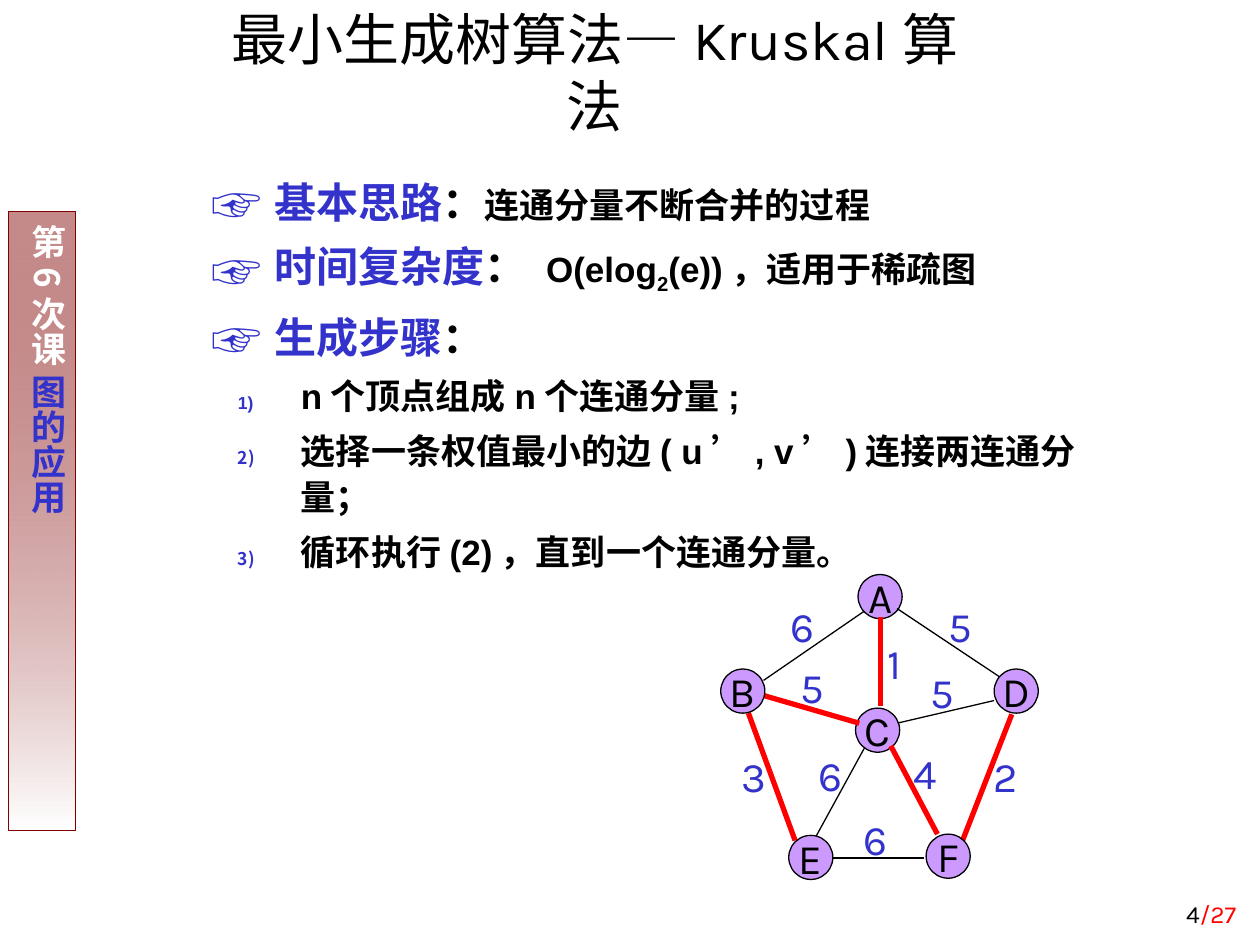
import dataclasses
import typing

import lxml.etree
import pptx
import pptx.dml.color
import pptx.enum.shapes
import pptx.enum.text
import pptx.oxml.ns
import pptx.util

Inches = pptx.util.Inches
Pt = pptx.util.Pt
RGBColor = pptx.dml.color.RGBColor
Align = pptx.enum.text.PP_ALIGN
Anchor = pptx.enum.text.MSO_ANCHOR
Shapes = pptx.enum.shapes.MSO_SHAPE
qn = pptx.oxml.ns.qn

BLACK = RGBColor(0, 0, 0)
WHITE = RGBColor(255, 255, 255)
RED = RGBColor(255, 0, 0)
BLUE = RGBColor(0x33, 0x33, 0xCC)
MAROON = RGBColor(0x80, 0, 0)
VIOLET = RGBColor(0xCC, 0x99, 0xFF)
CHINESE = "Noto Sans CJK SC"
NODE_SIZE = 0.35


@dataclasses.dataclass
class Run:
    text: str
    size: float
    color: RGBColor = BLACK
    font: str = "Karla"
    bold: bool = False
    subscript: bool = False


@dataclasses.dataclass
class Item:
    runs: list[Run]
    numbered: bool = False
    space_before: float = 5


@dataclasses.dataclass
class Node:
    name: str
    left: float
    top: float


@dataclasses.dataclass
class Edge:
    start: tuple[float, float]
    end: tuple[float, float]
    weight: str
    weight_at: tuple[float, float]
    in_tree: bool = False


def body_run(text: str, size: float = 20, color: RGBColor = BLACK,
             font: str = "Arial", subscript: bool = False) -> Run:
    return Run(text, size, color, font, True, subscript)


ITEMS = [
    Item([body_run("基本思路", 24, BLUE), body_run("：", 24),
          body_run("连通分量不断合并的过程")], space_before=0),
    Item([body_run("时间复杂度", 24, BLUE), body_run("： ", 24), body_run("O(elog"),
          body_run("2", subscript=True), body_run("(e))，适用于稀疏图")]),
    Item([body_run("生成步骤", 24, BLUE), body_run("：", 24)], space_before=6),
    Item([body_run("n个顶点组成n个连通分量;")], True),
    Item([body_run("选择一条权值最小的边( u"), body_run("’", font=CHINESE),
          body_run(", v"), body_run("’", font=CHINESE),
          body_run(")连接两连通分量；")], True),
    Item([body_run("循环执行(2)，直到一个连通分量。")], True),
]
NODE_A = Node("A", 6.81, 4.56)
NODE_C = Node("C", 6.79, 5.62)
OUTER_NODES = [Node("F", 7.35, 6.62), Node("D", 7.89, 5.31),
               Node("E", 6.26, 6.63), Node("B", 5.72, 5.31)]
EDGES = [
    Edge((6.86, 4.85), (6.06, 5.4), "6", (6.18, 4.77)),
    Edge((5.94, 5.66), (6.31, 6.67), "3", (5.79, 5.96), True),
    Edge((6.6, 6.81), (7.33, 6.81), "6", (6.76, 6.46)),
    Edge((7.64, 6.67), (8.03, 5.67), "2", (7.79, 5.96), True),
    Edge((7.93, 5.37), (7.12, 4.83), "5", (7.43, 4.77)),
    Edge((6.99, 4.9), (6.99, 5.6), "1", (6.91, 5.06), True),
    Edge((6.06, 5.52), (6.82, 5.74), "5", (6.26, 5.25), True),
    Edge((6.47, 6.65), (6.87, 5.92), "6", (6.4, 5.95)),
    Edge((7.44, 6.62), (7.07, 5.92), "4", (7.15, 5.93), True),
    Edge((7.12, 5.74), (7.89, 5.56), "5", (7.29, 5.29)),
]


def add_runs(paragraph: typing.Any, runs: list[Run]) -> None:
    for item in runs:
        run = paragraph.add_run()
        run.text = item.text
        run.font.size = Pt(item.size)
        run.font.bold = item.bold
        run.font.name = item.font
        run.font.color.rgb = item.color
        properties = run.font._element
        lxml.etree.SubElement(properties, qn("a:ea"), typeface=CHINESE)
        if item.subscript:
            properties.set("baseline", "-25000")


def set_margins(frame: typing.Any, horizontal: float, vertical: float) -> None:
    frame.margin_left = frame.margin_right = Inches(horizontal)
    frame.margin_top = frame.margin_bottom = Inches(vertical)


def add_text(slide: typing.Any, left: float, top: float, width: float, height: float,
             runs: list[Run], alignment: Align, anchor: Anchor = Anchor.BOTTOM,
             margins: tuple[float, float] = (0.1, 0.05)) -> None:
    box = slide.shapes.add_textbox(Inches(left), Inches(top), Inches(width), Inches(height))
    frame = box.text_frame
    frame.word_wrap = True
    frame.vertical_anchor = anchor
    set_margins(frame, *margins)
    frame.paragraphs[0].alignment = alignment
    add_runs(frame.paragraphs[0], runs)


def add_sidebar(slide: typing.Any) -> None:
    shape = slide.shapes.add_shape(Shapes.RECTANGLE, Inches(0.07), Inches(1.68),
                                   Inches(0.53), Inches(4.91))
    shape.shadow.inherit = False
    shape.fill.gradient()
    shape.fill.gradient_angle = 270
    for stop, position, color in zip(shape.fill.gradient_stops, (0, 1), (MAROON, WHITE)):
        stop.position = position
        stop.color.rgb = color
    first_color = next(shape._element.spPr.iter(qn("a:srgbClr")))
    lxml.etree.SubElement(first_color, qn("a:alpha"), val="46000")
    shape.line.color.rgb = MAROON
    shape.line.width = Pt(0.75)
    frame = shape.text_frame
    set_margins(frame, 0.05, 0.1)
    frame.vertical_anchor = Anchor.TOP
    frame._txBody.bodyPr.set("vert", "eaVert")
    frame.paragraphs[0].alignment = Align.CENTER
    add_runs(frame.paragraphs[0], [Run("第6次课 ", 20, WHITE, CHINESE, True),
                                   Run("图的应用", 20, BLUE, CHINESE, True)])


def add_bullet(paragraph: typing.Any, numbered: bool) -> None:
    properties = paragraph._p.get_or_add_pPr()
    properties.set("marL", str(Inches(0.92 if numbered else 0.71)))
    properties.set("indent", str(Inches(-0.5)))
    color = lxml.etree.SubElement(properties, qn("a:buClr"))
    lxml.etree.SubElement(color, qn("a:srgbClr"), val=str(BLUE))
    lxml.etree.SubElement(properties, qn("a:buSzPct"), val="50000" if numbered else "120000")
    lxml.etree.SubElement(properties, qn("a:buFont"), typeface=CHINESE)
    if numbered:
        lxml.etree.SubElement(properties, qn("a:buAutoNum"), type="arabicParenR")
    else:
        lxml.etree.SubElement(properties, qn("a:buChar"), char="☞")


def add_body(slide: typing.Any) -> None:
    box = slide.shapes.add_textbox(Inches(1.37), Inches(1.31), Inches(7.41), Inches(3.12))
    frame = box.text_frame
    frame.word_wrap = True
    for index, item in enumerate(ITEMS):
        paragraph = frame.add_paragraph() if index else frame.paragraphs[0]
        add_bullet(paragraph, item.numbered)
        paragraph.line_spacing = 1.1
        paragraph.space_before = Pt(item.space_before)
        add_runs(paragraph, item.runs)


def add_node(slide: typing.Any, node: Node) -> None:
    shape = slide.shapes.add_shape(Shapes.OVAL, Inches(node.left), Inches(node.top),
                                   Inches(NODE_SIZE), Inches(NODE_SIZE))
    shape.shadow.inherit = False
    shape.fill.solid()
    shape.fill.fore_color.rgb = VIOLET
    shape.line.color.rgb = BLACK
    shape.line.width = Pt(0.75)
    frame = shape.text_frame
    frame.word_wrap = False
    frame.vertical_anchor = Anchor.MIDDLE
    frame.paragraphs[0].alignment = Align.CENTER
    add_runs(frame.paragraphs[0], [Run(node.name, 24)])


def add_edge(slide: typing.Any, edge: Edge, color: RGBColor, width: float) -> None:
    ends = [Inches(value) for value in edge.start + edge.end]
    line = slide.shapes.add_connector(pptx.enum.shapes.MSO_CONNECTOR.STRAIGHT, *ends)
    line.line.color.rgb = color
    line.line.width = Pt(width)
    lxml.etree.SubElement(line._element.spPr, qn("a:effectLst"))


def add_graph(slide: typing.Any) -> None:
    add_node(slide, NODE_A)
    for edge in EDGES:
        add_edge(slide, edge, BLACK, 0.75)
    for edge in EDGES:
        add_text(slide, *edge.weight_at, 0.38, 0.4, [Run(edge.weight, 24, BLUE)],
                 Align.CENTER, Anchor.TOP, (0, 0))
    add_node(slide, NODE_C)
    for edge in EDGES:
        if edge.in_tree:
            add_edge(slide, edge, RED, 3)
    for node in OUTER_NODES:
        add_node(slide, node)


def main() -> None:
    presentation = pptx.Presentation()
    presentation.slide_width = Inches(10)
    presentation.slide_height = Inches(7.5)
    slide = presentation.slides.add_slide(presentation.slide_layouts[6])
    add_sidebar(slide)
    add_text(slide, 7.83, 6.92, 2.08, 0.5, [Run("4", 14), Run("/27", 14, RED)], Align.RIGHT)
    title = [Run("最小生成树算法", 32), Run("—", 32, font="Times New Roman"),
             Run("Kruskal算法", 32)]
    add_text(slide, 1.61, 0.36, 6.22, 0.79, title, Align.CENTER)
    add_body(slide)
    add_graph(slide)
    presentation.save("out.pptx")


if __name__ == "__main__":
    main()
